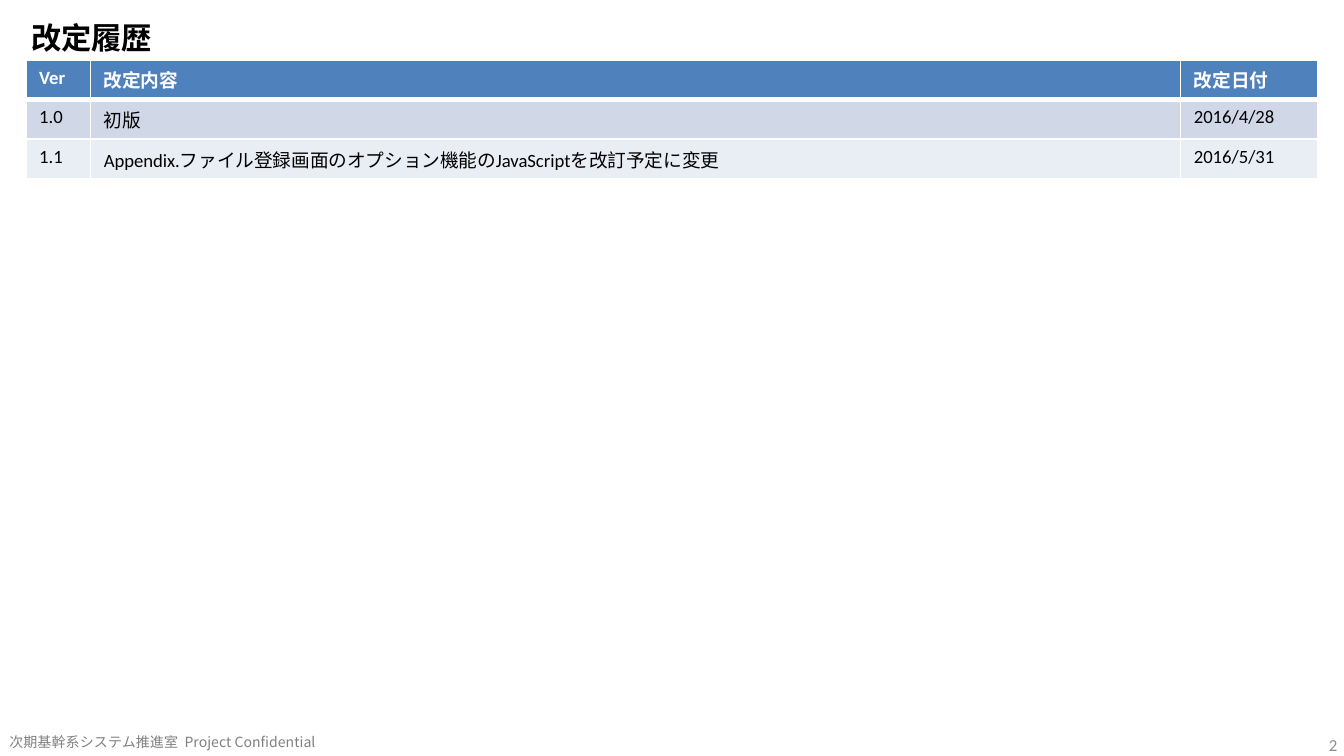
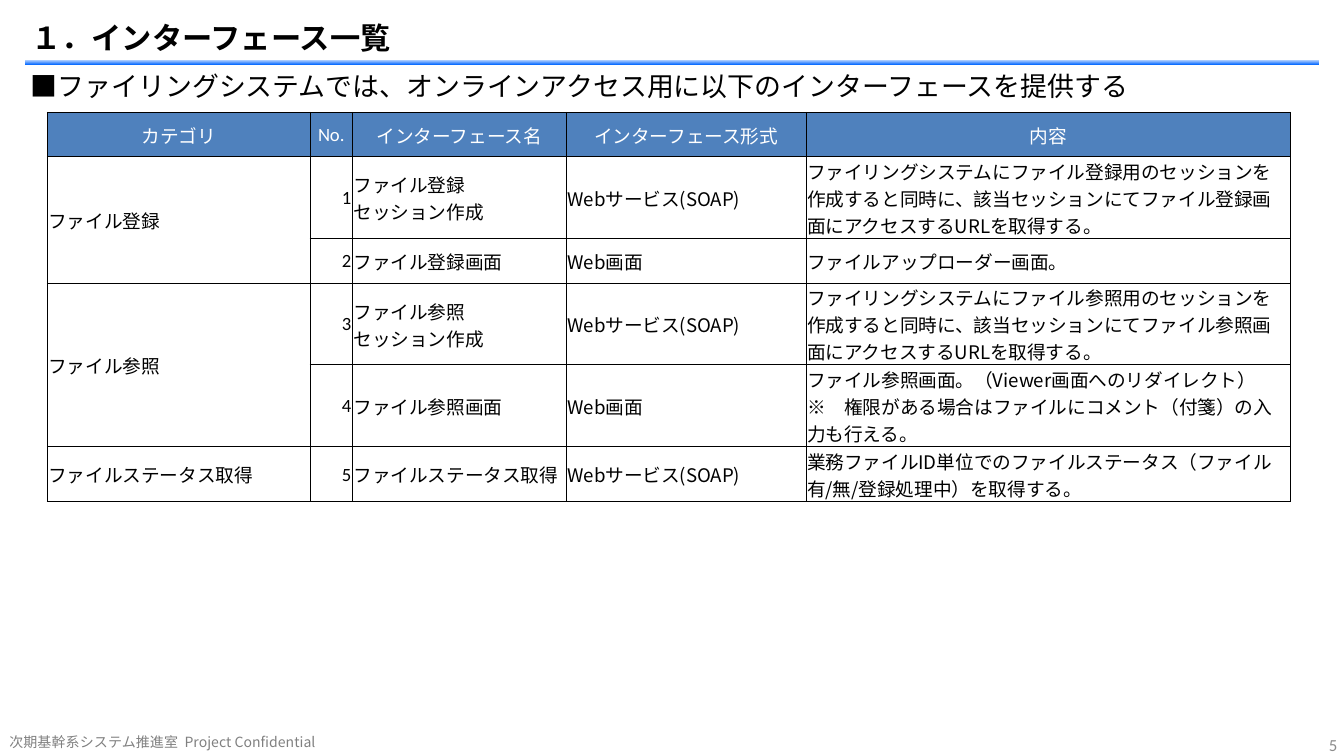
"""Builds the revision history and interface list slides."""
from lxml.etree import SubElement
from pptx import Presentation
from pptx.dml.color import RGBColor
from pptx.enum.shapes import MSO_SHAPE
from pptx.enum.text import MSO_ANCHOR as Anchor, PP_ALIGN as Align
from pptx.oxml.ns import qn
from pptx.util import Pt

LATIN, JAPANESE = "Calibri", "Noto Sans CJK JP"
BLACK, WHITE, GRAY, BLUE = "000000", "FFFFFF", "808080", "4F81BD"


def write(frame, text, size, color=BLACK, font=LATIN, bold=False,
          align=Align.LEFT, anchor=Anchor.MIDDLE, margins=(3, 3, 3, 3)):
    """Put styled text into a text frame or a table cell."""
    body = getattr(frame, "text_frame", frame)
    body.text = text
    body.word_wrap = True
    frame.vertical_anchor = anchor
    frame.margin_left, frame.margin_top, frame.margin_right, frame.margin_bottom = map(Pt, margins)
    for para in body.paragraphs:
        para.alignment = align
        for span in para.runs:
            span.font.size, span.font.bold, span.font.name = Pt(size), bold, font
            span.font.color.rgb = RGBColor.from_string(color)
            SubElement(span.font._element, qn("a:ea"), typeface=JAPANESE)


def add_grid(page, left, top, widths, heights, border, weight, header_weight):
    """Add an unstyled table with borders on every cell."""
    table = page.shapes.add_table(len(heights), len(widths), Pt(left), Pt(top),
                                  Pt(sum(widths)), Pt(sum(heights))).table
    table.horz_banding = False
    for column, width in zip(table.columns, widths):
        column.width = Pt(width)
    for index, height in enumerate(heights):
        table.rows[index].height = Pt(height)
        for cell in table.rows[index].cells:
            cell.fill.background()
            properties = cell._tc.get_or_add_tcPr()
            for position, side in enumerate(("lnL", "lnR", "lnT", "lnB")):
                heavy = (index, side) in ((0, "lnB"), (1, "lnT"))
                line = properties.makeelement(qn("a:" + side),
                                              {"w": str(Pt(header_weight if heavy else weight))})
                SubElement(SubElement(line, qn("a:solidFill")), qn("a:srgbClr"), val=border)
                properties.insert(position, line)
    return table


deck = Presentation()
deck.slide_width, deck.slide_height = Pt(720), Pt(405)

pages = []
for title, number in (("改定履歴", "2"), ("１．インターフェース一覧", "5")):
    page = deck.slides.add_slide(deck.slide_layouts[5])
    pages.append(page)

    footer = page.shapes.add_textbox(Pt(0), Pt(391.5), Pt(240.5), Pt(13.5))
    write(footer.text_frame, "次期基幹系システム推進室  Project Confidential", 7.5, GRAY, JAPANESE,
          anchor=Anchor.BOTTOM, margins=(5, 3, 5, 3))
    footer.text_frame.paragraphs[0].line_spacing = 0.9

    rule = page.shapes.add_shape(MSO_SHAPE.RECTANGLE, Pt(13.2), Pt(32.4), Pt(693.4), Pt(2.4))
    rule.shadow.inherit = False
    rule.line.fill.background()
    rule.fill.gradient()
    rule.fill.gradient_angle = 270
    for stop, color, position in zip(rule.fill.gradient_stops, ("A9CBFF", "0066FF"), (0, 1)):
        stop.color.rgb = RGBColor.from_string(color)
        stop.position = position

    heading = page.shapes.title
    heading.left, heading.top, heading.width, heading.height = map(Pt, (13.6, 7.2, 648, 25.2))
    write(heading.text_frame, title, 16.2, bold=True)

    box = page.shapes.add_textbox(Pt(552), Pt(392.4), Pt(168), Pt(12.96))
    write(box.text_frame, number, 9, "8C8C8C", align=Align.RIGHT, margins=(3.6, 3.6, 3.6, 3.6))

history_page, interface_page = pages

revisions = (
    ("Ver", "改定内容", "改定日付"),
    ("1.0", "初版", "2016/4/28"),
    ("1.1", "Appendix.ファイル登録画面のオプション機能のJavaScriptを改訂予定に変更", "2016/5/31"),
)
history = add_grid(history_page, 13.8, 32, (34.6, 584, 73.6), (21.3, 21.3, 21.3), WHITE, 1, 3)
for row, values, fill in zip(history.rows, revisions, (BLUE, "D0D8E8", "E9EDF4")):
    header = fill == BLUE
    for cell, value in zip(row.cells, values):
        cell.fill.solid()
        cell.fill.fore_color.rgb = RGBColor.from_string(fill)
        write(cell, value, 10, WHITE if header else BLACK, bold=header,
              anchor=Anchor.TOP, margins=(7.2, 3.6, 7.2, 3.6))

lead = interface_page.shapes.add_textbox(Pt(13.6), Pt(33.2), Pt(648), Pt(25.2))
write(lead.text_frame,
      "■ファイリングシステムでは、オンラインアクセス用に以下のインターフェースを提供する", 14.4)

session_text = ("ファイリングシステムにファイル{0}用のセッションを作成すると同時に、"
                "該当セッションにてファイル{0}画面にアクセスするURLを取得する。")
service, screen = "Webサービス(SOAP)", "Web画面"
interfaces = (
    ("カテゴリ", "No.", "インターフェース名", "インターフェース形式", "内容"),
    ("ファイル登録", "1", "ファイル登録\nセッション作成", service, session_text.format("登録")),
    ("", "2", "ファイル登録画面", screen, "ファイルアップローダー画面。"),
    ("ファイル参照", "3", "ファイル参照\nセッション作成", service, session_text.format("参照")),
    ("", "4", "ファイル参照画面", screen,
     "ファイル参照画面。（Viewer画面へのリダイレクト）\n"
     "※　権限がある場合はファイルにコメント（付箋）の入力も行える。"),
    ("ファイルステータス取得", "5", "ファイルステータス取得", service,
     "業務ファイルID単位でのファイルステータス（ファイル有/無/登録処理中）を取得する。"),
)
listing = add_grid(interface_page, 25.3, 60.2, (140.8, 22.7, 114.6, 128.4, 259.5),
                   (23.7, 43.9, 24, 43.6, 43.9, 29.5), BLACK, 0.5, 0.5)
for first in (1, 3):
    listing.cell(first, 0).merge(listing.cell(first + 1, 0))
header_fonts = (LATIN, LATIN, JAPANESE, LATIN, JAPANESE)
for row_index, values in enumerate(interfaces):
    for column_index, value in enumerate(values):
        cell = listing.cell(row_index, column_index)
        if cell.is_spanned:
            continue
        color, font, align = BLACK, JAPANESE, Align.LEFT
        if row_index == 0:
            color, font, align = WHITE, header_fonts[column_index], Align.CENTER
            cell.fill.solid()
            cell.fill.fore_color.rgb = RGBColor.from_string(BLUE)
        elif column_index == 1:
            font, align = LATIN, Align.RIGHT
        write(cell, value, 10, color, font, align=align, margins=(0.6, 0.6, 0.6, 0))

deck.save("out.pptx")
